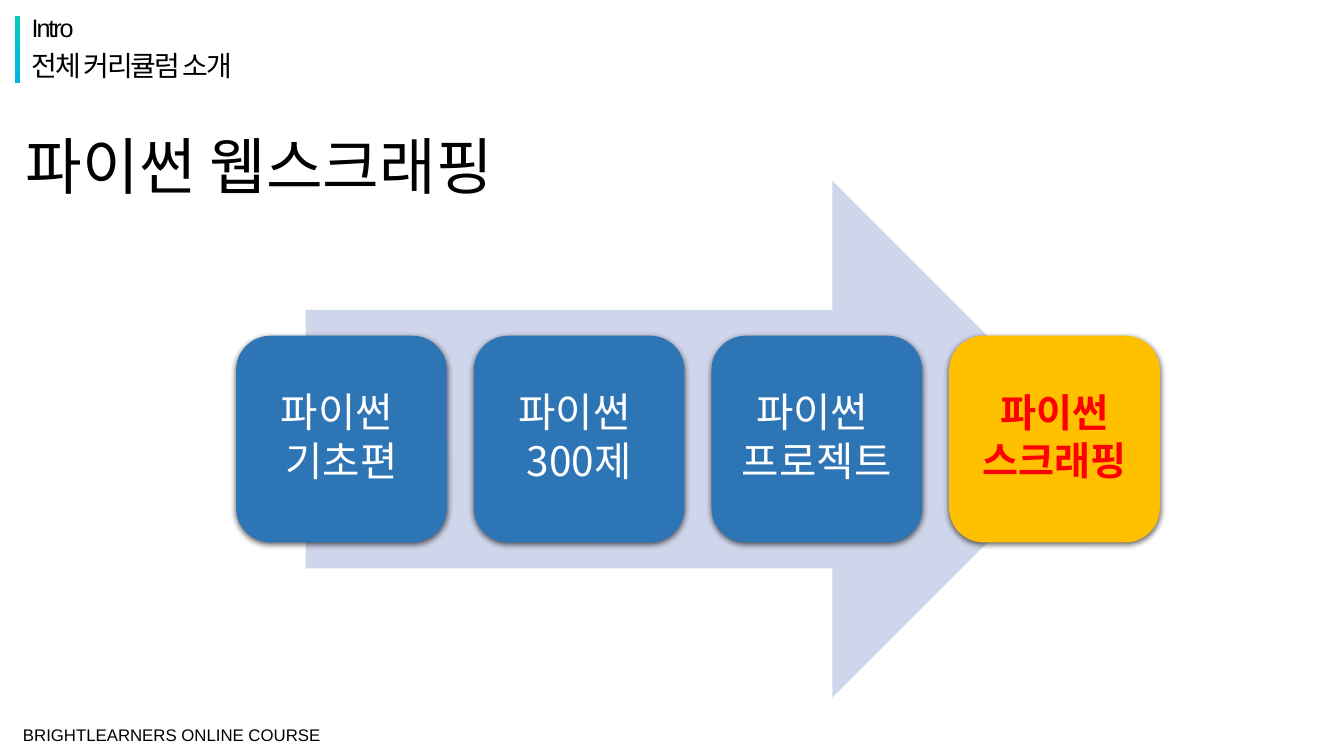
from lxml.etree import SubElement
from pptx import Presentation
from pptx.dml.color import RGBColor
from pptx.enum.shapes import MSO_SHAPE as Preset
from pptx.enum.text import MSO_ANCHOR as Anchor, PP_ALIGN as Align
from pptx.oxml.ns import qn
from pptx.util import Cm, Pt

COLORS = {
    "black": "000000",
    "white": "FFFFFF",
    "red": "FF0000",
    "blue": "2E75B6",
    "amber": "FFC000",
    "arrow": "CFD5EA",
    "teal": "02CCBA",
    "cyan": "02B3E4",
}
KOREAN_FONT = "Noto Sans CJK KR"


def color(name):
    return RGBColor.from_string(COLORS[name])


def write(frame, lines, size, text_color="black", font=KOREAN_FONT, bold=False,
          align=Align.LEFT, anchor=Anchor.TOP, spacing=0.9, after=0,
          tracking=0, inset=(0.25, 0.13)):
    frame.word_wrap = True
    frame.vertical_anchor = anchor
    frame.margin_left = frame.margin_right = Cm(inset[0])
    frame.margin_top = frame.margin_bottom = Cm(inset[1])
    for index, line in enumerate(lines):
        paragraph = frame.add_paragraph() if index else frame.paragraphs[0]
        paragraph.alignment = align
        paragraph.line_spacing = spacing
        paragraph.space_after = Pt(after)
        run = paragraph.add_run()
        run.text = line
        run.font.size = Pt(size)
        run.font.bold = bold
        run.font.name = font
        run.font.color.rgb = color(text_color)
        properties = run._r.get_or_add_rPr()
        SubElement(properties, qn("a:ea"), typeface=KOREAN_FONT)
        if tracking:
            properties.set("spc", str(int(tracking * 100)))


class SlideBuilder:
    def __init__(self, presentation):
        self.slide = presentation.slides.add_slide(presentation.slide_layouts[6])

    def text(self, left, top, width, height, line, size, **style):
        box = self.slide.shapes.add_textbox(Cm(left), Cm(top), Cm(width), Cm(height))
        write(box.text_frame, [line], size, **style)

    def shape(self, preset, left, top, width, height, fill):
        shape = self.slide.shapes.add_shape(
            preset, Cm(left), Cm(top), Cm(width), Cm(height))
        shape.shadow.inherit = False
        shape.line.fill.background()
        shape.fill.solid()
        shape.fill.fore_color.rgb = color(fill)
        return shape

    def accent_bar(self, left, top, width, height, start, end):
        bar = self.shape(Preset.RECTANGLE, left, top, width, height, start)
        bar.fill.gradient()
        bar.fill.gradient_angle = 270
        for stop, name in zip(bar.fill.gradient_stops, (start, end)):
            stop.color.rgb = color(name)

    def card(self, left, top, width, height, fill, lines, size, **style):
        card = self.shape(Preset.ROUNDED_RECTANGLE, left, top, width, height, fill)
        effects = card._element.spPr.find(qn("a:effectLst"))
        shadow = SubElement(effects, qn("a:outerShdw"), blurRad=str(Pt(4.5)),
                            dist=str(Pt(1.5)), dir="5400000", algn="ctr",
                            rotWithShape="0")
        tint = SubElement(shadow, qn("a:srgbClr"), val=COLORS["black"])
        SubElement(tint, qn("a:alpha"), val="63000")
        write(card.text_frame, lines, size, align=Align.CENTER,
              anchor=Anchor.MIDDLE, after=4, **style)


def main():
    presentation = Presentation()
    presentation.slide_width = Cm(33.87)
    presentation.slide_height = Cm(19.05)
    builder = SlideBuilder(presentation)

    builder.accent_bar(0.38, 0.41, 0.13, 1.68, "teal", "cyan")
    builder.text(0.38, 18.06, 10.08, 0.91, "BRIGHTLEARNERS ONLINE COURSE", 12,
                 font="Arial", anchor=Anchor.MIDDLE, spacing=1.0, inset=(0.2, 0.2))
    builder.text(0.4, 3.2, 29.21, 2.16, "파이썬 웹스크래핑", 44, anchor=Anchor.MIDDLE)
    builder.text(0.55, 0.26, 20.45, 0.86, "Intro", 18, font="Arial", tracking=-1.5)
    builder.text(0.55, 1.19, 20.45, 0.86, "전체 커리큘럼 소개", 20,
                 font="Arial", tracking=-1.5)

    builder.shape(Preset.RIGHT_ARROW, 7.7, 4.55, 19.79, 13.03, "arrow")
    regular = {"fill": "blue", "text_color": "white", "size": 29, "inset": (0.3, 0.3)}
    current = {"fill": "amber", "text_color": "red", "size": 28, "inset": (0, 0),
               "bold": True}
    courses = [
        (["파이썬 ", "기초편"], regular),
        (["파이썬 ", "300제"], regular),
        (["파이썬 ", "프로젝트"], regular),
        (["파이썬", "스크래핑"], current),
    ]
    for index, (lines, style) in enumerate(courses):
        builder.card(5.95 + index * 5.99, 8.46, 5.31, 5.21, lines=lines, **style)

    presentation.save("out.pptx")


if __name__ == "__main__":
    main()
